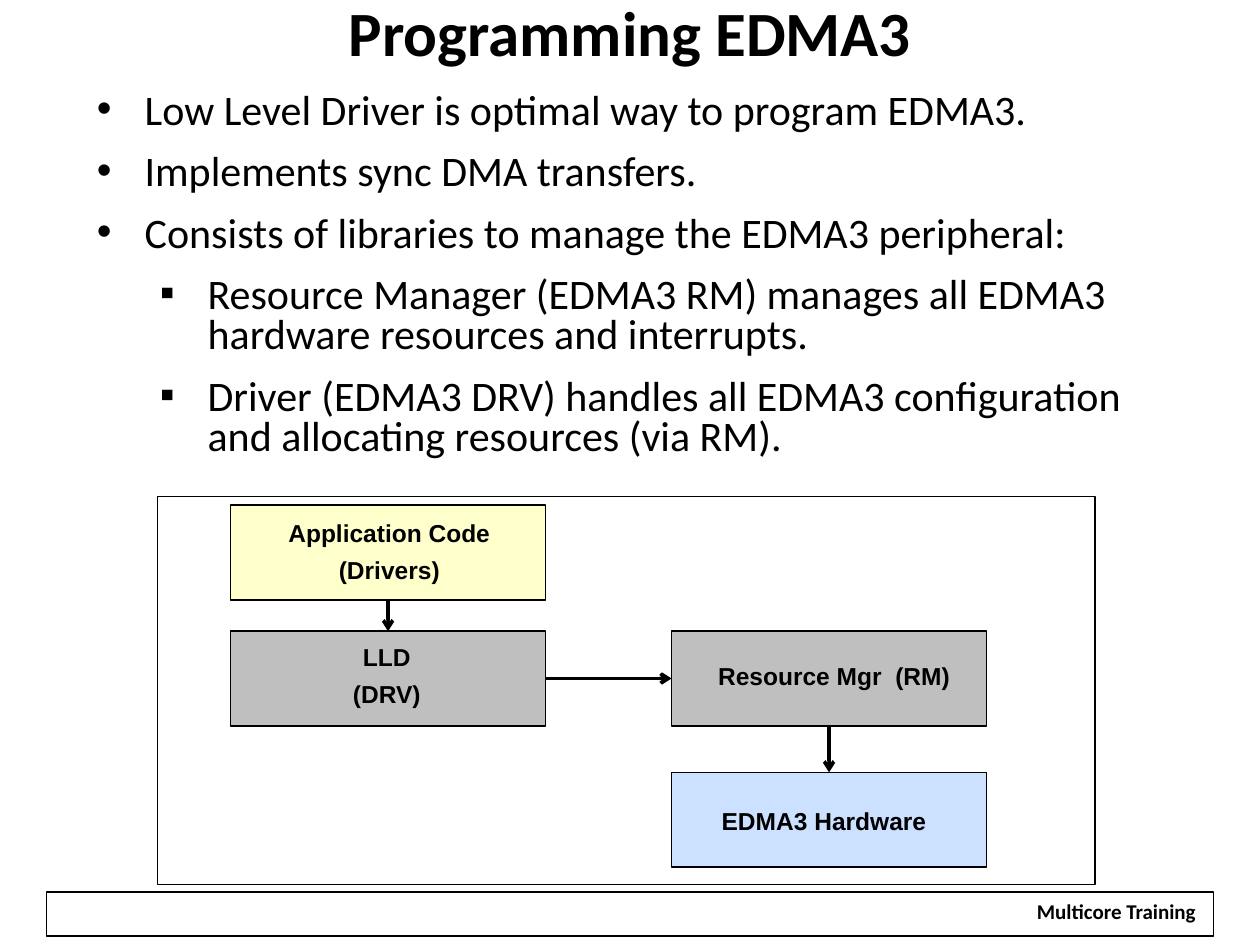
from dataclasses import dataclass

from lxml.etree import SubElement
from pptx import Presentation
from pptx.dml.color import RGBColor
from pptx.enum.shapes import MSO_CONNECTOR, MSO_SHAPE
from pptx.enum.text import MSO_ANCHOR, PP_ALIGN
from pptx.oxml.ns import qn
from pptx.util import Inches, Pt


@dataclass(frozen=True)
class Theme:
    ink: str = "000000"
    paper: str = "FFFFFF"
    application: str = "FFFFCC"
    library: str = "BFBFBF"
    hardware: str = "CCE0FF"
    text_font: str = "Calibri"
    label_font: str = "Arial"
    title_size: int = 36
    body_size: int = 24
    label_size: int = 14
    footer_size: int = 12


def color(value):
    return RGBColor.from_string(value)


def add_bullet(para, symbol, indent):
    properties = para._p.get_or_add_pPr()
    properties.set("marL", str(Inches(indent)))
    properties.set("indent", str(Inches(-0.38)))
    SubElement(properties, qn("a:buFont")).set("typeface", "Arial")
    SubElement(properties, qn("a:buChar")).set("char", symbol)


def write(para, text, *, font, size, ink, bold=False, align=PP_ALIGN.LEFT,
          spacing=0.8, before=0, after=0):
    para.alignment = align
    para.line_spacing = spacing
    para.space_before = Pt(before)
    para.space_after = Pt(after)
    span = para.add_run()
    span.text = text
    span.font.name = font
    span.font.size = Pt(size)
    span.font.bold = bold
    span.font.color.rgb = color(ink)


class SlideBuilder:
    def __init__(self, page, theme):
        self.page = page
        self.theme = theme

    def rectangle(self, left, top, width, height, fill=None, line_width=1):
        box = self.page.shapes.add_shape(
            MSO_SHAPE.RECTANGLE, Inches(left), Inches(top), Inches(width), Inches(height))
        box.shadow.inherit = False
        if fill:
            box.fill.solid()
            box.fill.fore_color.rgb = color(fill)
        else:
            box.fill.background()
        box.line.color.rgb = color(self.theme.ink)
        box.line.width = Pt(line_width)
        return box

    def text_box(self, left, top, width, height, anchor=MSO_ANCHOR.TOP, wrap=True):
        box = self.page.shapes.add_textbox(
            Inches(left), Inches(top), Inches(width), Inches(height))
        box.text_frame.word_wrap = wrap
        box.text_frame.vertical_anchor = anchor
        return box

    def paragraphs(self, box, lines, before=0, **style):
        frame = box.text_frame
        for index, text in enumerate(lines):
            para = frame.add_paragraph() if index else frame.paragraphs[0]
            write(para, text, ink=self.theme.ink, before=before if index else 0, **style)

    def title(self, text):
        box = self.text_box(0, -0.02, 10, 0.67, MSO_ANCHOR.MIDDLE)
        frame = box.text_frame
        frame.margin_left = frame.margin_right = Inches(0.05)
        self.paragraphs(box, [text], font=self.theme.text_font, size=self.theme.title_size,
                        bold=True, align=PP_ALIGN.CENTER, spacing=0.75)

    def bullets(self, items):
        frame = self.text_box(0.67, 0.69, 8.67, 3.04).text_frame
        for index, (level, text) in enumerate(items):
            para = frame.add_paragraph() if index else frame.paragraphs[0]
            para.level = level
            add_bullet(para, "•▪"[level], 0.38 + 0.5 * level)
            write(para, text, font=self.theme.text_font, size=self.theme.body_size,
                  ink=self.theme.ink, before=6 if index else 0, after=6)

    def label(self, lines, left, top, width, height):
        box = self.text_box(left, top, width, height, MSO_ANCHOR.MIDDLE)
        self.paragraphs(box, lines, before=7.7, font=self.theme.label_font,
                        size=self.theme.label_size, bold=True, align=PP_ALIGN.CENTER)

    def arrow(self, source, source_side, target, target_side):
        connector = self.page.shapes.add_connector(MSO_CONNECTOR.STRAIGHT, 0, 0, 0, 0)
        connector.begin_connect(source, source_side)
        connector.end_connect(target, target_side)
        connector.line.color.rgb = color(self.theme.ink)
        connector.line.width = Pt(2)
        SubElement(connector.line._get_or_add_ln(), qn("a:tailEnd")).set("type", "arrow")
        SubElement(connector._element.spPr, qn("a:effectLst"))

    def footer(self, text):
        self.rectangle(0.37, 7.08, 9.26, 0.35, line_width=0.75)
        box = self.text_box(8.12, 7.12, 1.48, 0.26, wrap=False)
        box.fill.solid()
        box.fill.fore_color.rgb = color(self.theme.paper)
        self.paragraphs(box, [text], font=self.theme.text_font, size=self.theme.footer_size,
                        bold=True, align=PP_ALIGN.CENTER)


def main():
    deck = Presentation()
    deck.slide_width = Inches(10)
    deck.slide_height = Inches(7.5)
    theme = Theme()
    builder = SlideBuilder(deck.slides.add_slide(deck.slide_layouts[6]), theme)

    builder.footer("Multicore Training")
    builder.title("Programming EDMA3")
    builder.bullets([
        (0, "Low Level Driver is optimal way to program EDMA3."),
        (0, "Implements sync DMA transfers."),
        (0, "Consists of libraries to manage the EDMA3 peripheral:"),
        (1, "Resource Manager (EDMA3 RM) manages all EDMA3 hardware resources and interrupts."),
        (1, "Driver (EDMA3 DRV) handles all EDMA3 configuration and allocating resources (via RM)."),
    ])

    builder.rectangle(1.25, 3.94, 7.44, 3.08)
    left_column, right_column = 1.83, 5.33
    application, driver, manager, hardware = [
        builder.rectangle(left, top, 2.5, 0.75, fill)
        for left, top, fill in [
            (left_column, 4.01, theme.application),
            (left_column, 5.01, theme.library),
            (right_column, 5.01, theme.library),
            (right_column, 6.13, theme.hardware),
        ]
    ]
    builder.arrow(application, 2, driver, 0)
    builder.arrow(driver, 3, manager, 1)
    builder.arrow(manager, 2, hardware, 0)

    builder.label(["Application Code", "(Drivers)"], 2.13, 4.1, 1.92, 0.6)
    builder.label(["LLD", "(DRV)"], 2.11, 5.08, 1.92, 0.6)
    builder.label(["Resource Mgr  (RM)"], 5.58, 5.24, 2.08, 0.29)
    builder.label(["EDMA3 Hardware"], 5.58, 6.39, 1.92, 0.29)

    deck.save("out.pptx")


if __name__ == "__main__":
    main()
